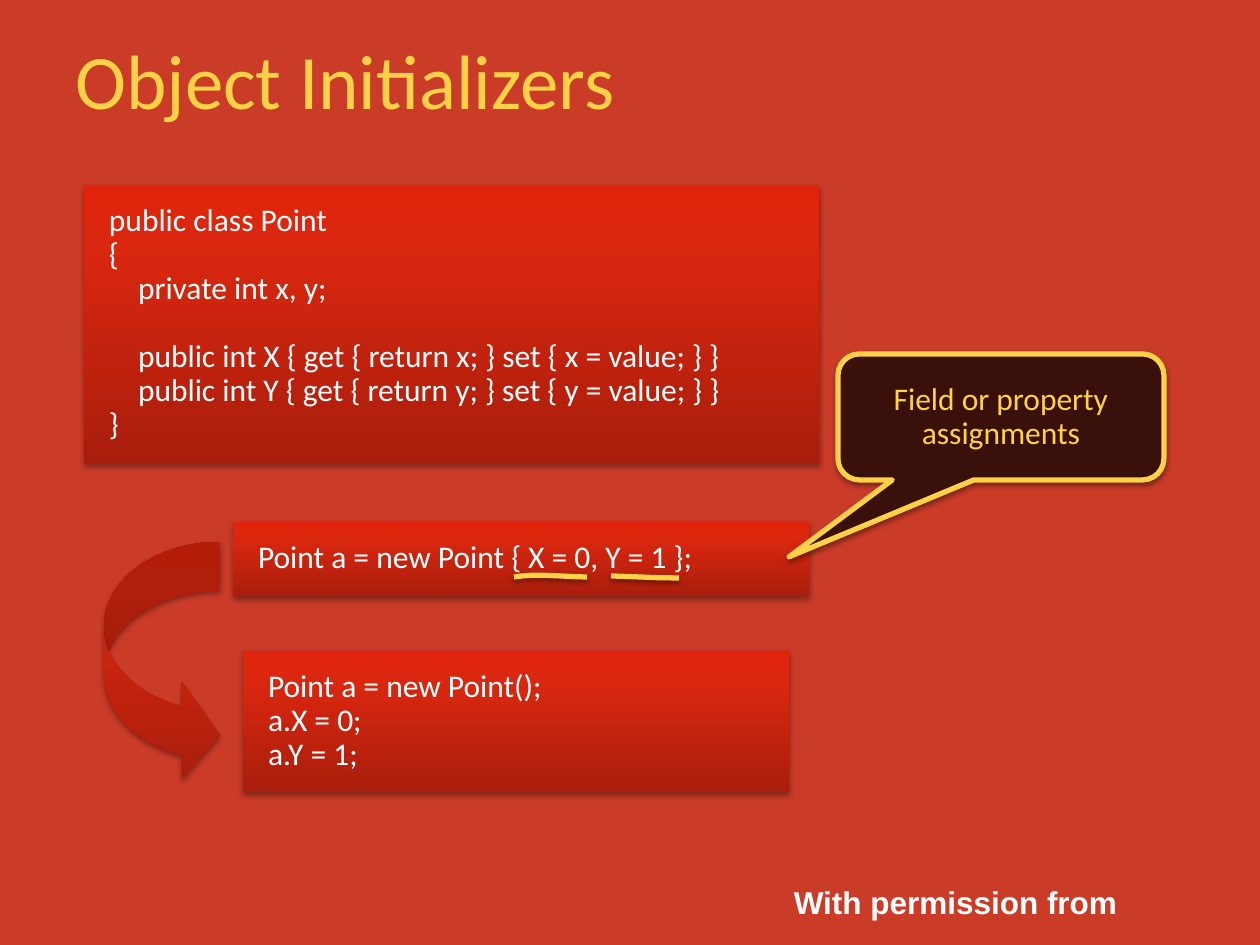
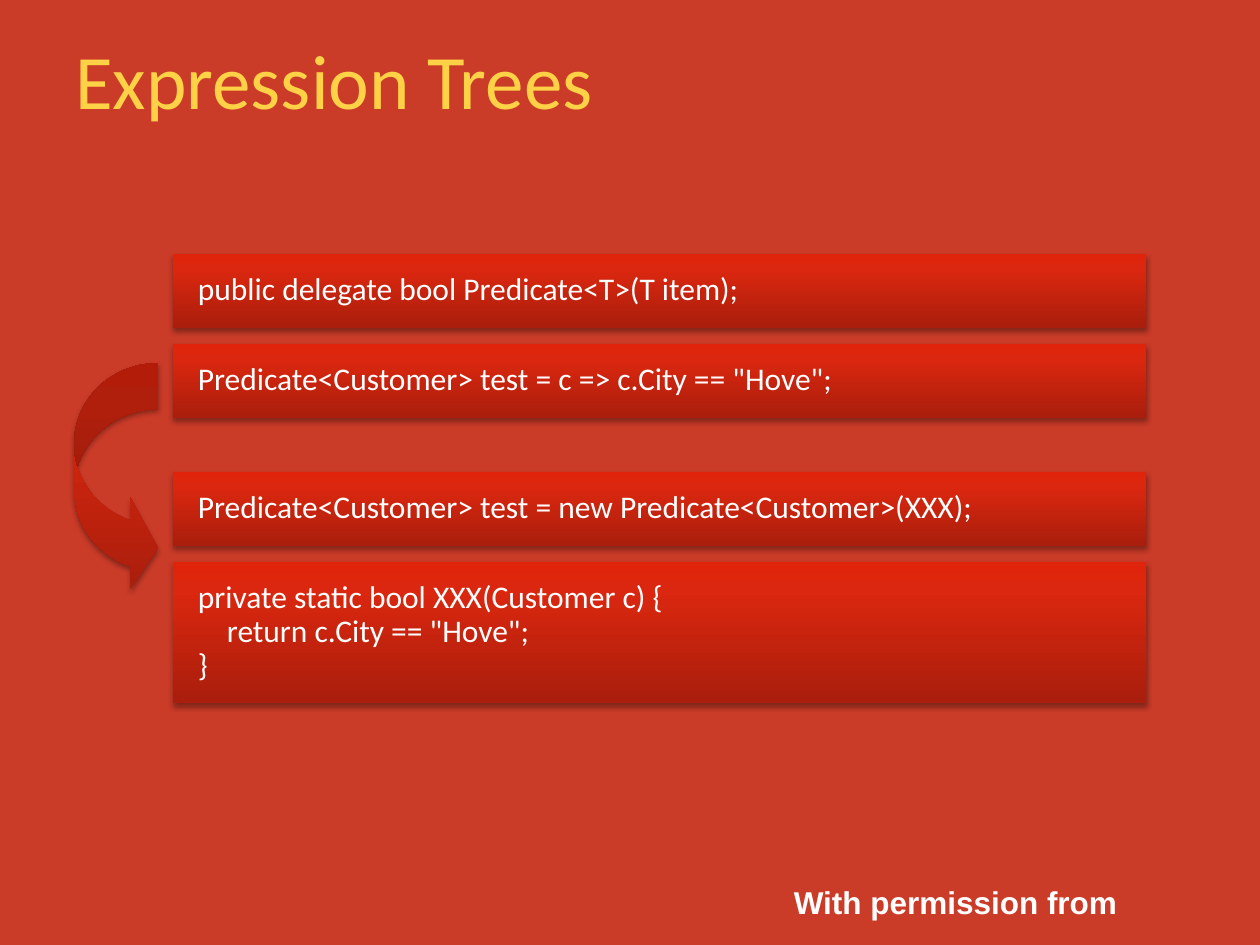
from dataclasses import dataclass
from typing import Any

from lxml.etree import SubElement
from pptx import Presentation
from pptx.dml.color import RGBColor
from pptx.enum.shapes import MSO_SHAPE
from pptx.enum.text import MSO_ANCHOR, PP_ALIGN
from pptx.oxml.ns import qn
from pptx.util import Pt

PX = 914400 / 126
BACKGROUND = "CA3B28"
GOLD = "FFD147"
WHITE = "FFFFFF"
MAROON = "3A100B"
GRADIENT = ((0, "A91E0C"), (80, "DB270F"), (100, "E0240B"))
LINE_SPACING = 0.9
BLANK_LINE = Pt(19.5)
CODE_INDENT = 29
BEZIER_STEPS = 8
ROW_HEIGHT = 74
ROW_STEP = 90


@dataclass(frozen=True)
class Area:
    left: int
    top: int
    width: int
    height: int

    def emu(self) -> tuple[int, ...]:
        return tuple(px(value) for value in (self.left, self.top, self.width, self.height))


@dataclass(frozen=True)
class Line:
    text: str
    level: int = 0
    after_blank: bool = False


@dataclass(frozen=True)
class CodeBox:
    area: Area
    lines: tuple[Line, ...]


@dataclass(frozen=True)
class CurvedArrow:
    area: Area
    adjustments: tuple[float, ...]


@dataclass(frozen=True)
class TextStyle:
    size: int
    color: str
    font: str = "Calibri"
    bold: bool = False


TITLE_STYLE = TextStyle(44, GOLD)
CODE_STYLE = TextStyle(18, WHITE)
CALLOUT_STYLE = TextStyle(18, GOLD)
FOOTER_STYLE = TextStyle(18, WHITE, "Arial", True)


def px(value: float) -> int:
    return round(value * PX)


def rgb(value: str) -> RGBColor:
    return RGBColor.from_string(value)


def set_formats(target: Any, formats: dict[str, Any]) -> None:
    for name, value in formats.items():
        setattr(target, name, value)


def write(para: Any, text: str, style: TextStyle, **formats: Any) -> None:
    set_formats(para, formats)
    span = para.add_run()
    span.text = text
    set_formats(span.font, {"name": style.font, "size": Pt(style.size), "bold": style.bold})
    span.font.color.rgb = rgb(style.color)


def add_shadow(shape: Any, opacity: int, distance: float) -> None:
    shape.shadow.inherit = False
    effects = shape._element.spPr.find(qn("a:effectLst"))
    shadow = SubElement(effects, qn("a:outerShdw"), {
        "blurRad": str(Pt(3.1)), "dist": str(Pt(distance)),
        "dir": "5400000", "rotWithShape": "0",
    })
    color = SubElement(shadow, qn("a:srgbClr"), val="000000")
    SubElement(color, qn("a:alpha"), val=str(opacity * 1000))


def style_red(shape: Any) -> None:
    shape.fill.gradient()
    shape.fill.gradient_angle = 90
    stops = shape._element.spPr.find(qn("a:gradFill")).find(qn("a:gsLst"))
    stops.clear()
    for position, color in GRADIENT:
        stop = SubElement(stops, qn("a:gs"), pos=str(position * 1000))
        SubElement(stop, qn("a:srgbClr"), val=color)
    shape.line.fill.background()
    add_shadow(shape, 35, 1.8)


def style_outlined(shape: Any) -> None:
    shape.fill.solid()
    shape.fill.fore_color.rgb = rgb(MAROON)
    shape.line.color.rgb = rgb(GOLD)
    shape.line.width = Pt(3)
    add_shadow(shape, 38, 1.6)


def add_text(page: Any, area: Area, text: str, style: TextStyle,
             anchor: MSO_ANCHOR, **formats: Any) -> None:
    frame = page.shapes.add_textbox(*area.emu()).text_frame
    set_formats(frame, {"word_wrap": True, "vertical_anchor": anchor})
    write(frame.paragraphs[0], text, style, **formats)


def add_page(deck: Any, title: str) -> Any:
    page = deck.slides.add_slide(deck.slide_layouts[6])
    add_text(page, Area(777, 871, 357, 53), "With permission from", FOOTER_STYLE,
             MSO_ANCHOR.TOP, alignment=PP_ALIGN.CENTER,
             line_spacing=Pt(25), space_after=Pt(10))
    add_text(page, Area(63, 0, 977, 158), title, TITLE_STYLE, MSO_ANCHOR.MIDDLE)
    return page


def add_code(page: Any, code: CodeBox) -> None:
    box = page.shapes.add_shape(MSO_SHAPE.RECTANGLE, *code.area.emu())
    style_red(box)
    frame = box.text_frame
    set_formats(frame, {
        "word_wrap": True, "vertical_anchor": MSO_ANCHOR.TOP,
        "margin_left": px(25), "margin_right": px(25),
        "margin_top": px(19), "margin_bottom": px(19),
    })
    for index, line in enumerate(code.lines):
        para = frame.add_paragraph() if index else frame.paragraphs[0]
        write(para, line.text, CODE_STYLE, alignment=PP_ALIGN.LEFT,
              line_spacing=LINE_SPACING,
              space_before=BLANK_LINE if line.after_blank else Pt(0))
        para._p.get_or_add_pPr().set("marL", str(px(line.level * CODE_INDENT)))


def add_arrow(page: Any, arrow: CurvedArrow) -> None:
    shape = page.shapes.add_shape(MSO_SHAPE.CURVED_RIGHT_ARROW, *arrow.area.emu())
    for index, value in enumerate(arrow.adjustments):
        shape.adjustments[index] = value
    style_red(shape)


def add_underline(page: Any, controls: tuple[tuple[int, int], ...]) -> None:
    points = []
    for step in range(BEZIER_STEPS + 1):
        t = step / BEZIER_STEPS
        weights = ((1 - t) ** 3, 3 * t * (1 - t) ** 2, 3 * t ** 2 * (1 - t), t ** 3)
        points.append(tuple(sum(weight * value for weight, value in zip(weights, axis))
                            for axis in zip(*controls)))
    builder = page.shapes.build_freeform(px(points[0][0]), px(points[0][1]))
    builder.add_line_segments([(px(x), px(y)) for x, y in points[1:]], close=False)
    style_outlined(builder.convert_to_shape())


def add_callout(page: Any, area: Area, text: str) -> None:
    callout = page.shapes.add_shape(MSO_SHAPE.ROUNDED_RECTANGULAR_CALLOUT, *area.emu())
    for index, value in enumerate((-0.65, 1.11, 0.17)):
        callout.adjustments[index] = value
    style_outlined(callout)
    set_formats(callout.text_frame, {"word_wrap": True, "vertical_anchor": MSO_ANCHOR.MIDDLE})
    write(callout.text_frame.paragraphs[0], text, CALLOUT_STYLE,
          alignment=PP_ALIGN.CENTER, line_spacing=LINE_SPACING)


def build_object_initializers(deck: Any) -> None:
    page = add_page(deck, "Object Initializers")
    for code in (
        CodeBox(Area(84, 185, 735, 278), (
            Line("public class Point"),
            Line("{"),
            Line("private int x, y;", 1),
            Line("public int X { get { return x; } set { x = value; } }", 1, True),
            Line("public int Y { get { return y; } set { y = value; } }", 1),
            Line("}"),
        )),
        CodeBox(Area(233, 522, 576, ROW_HEIGHT), (
            Line("Point a = new Point { X = 0, Y = 1 };"),
        )),
        CodeBox(Area(243, 651, 546, 141), (
            Line("Point a = new Point();"),
            Line("a.X = 0;"),
            Line("a.Y = 1;"),
        )),
    ):
        add_code(page, code)
    add_arrow(page, CurvedArrow(Area(104, 542, 116, 242), (0.42, 0.84, 0.33)))
    add_underline(page, ((514, 577), (538, 573), (563, 577), (587, 577)))
    add_underline(page, ((611, 576), (671, 578), (649, 578), (679, 578)))
    add_callout(page, Area(838, 354, 326, 126), "Field or property assignments")


def build_expression_trees(deck: Any) -> None:
    page = add_page(deck, "Expression Trees")
    declaration_top, expansion_top = 254, 472
    for top, height, lines in (
        (declaration_top, ROW_HEIGHT, (
            Line("public delegate bool Predicate<T>(T item);"),
        )),
        (declaration_top + ROW_STEP, ROW_HEIGHT, (
            Line('Predicate<Customer> test = c => c.City == "Hove";'),
        )),
        (expansion_top, ROW_HEIGHT, (
            Line("Predicate<Customer> test = new Predicate<Customer>(XXX);"),
        )),
        (expansion_top + ROW_STEP, 141, (
            Line("private static bool XXX(Customer c) {"),
            Line('return c.City == "Hove";', 1),
            Line("}"),
        )),
    ):
        add_code(page, CodeBox(Area(173, top, 973, height), lines))
    add_arrow(page, CurvedArrow(Area(74, 363, 84, 231), (0.55, 1.1, 0.33)))


def main() -> None:
    deck = Presentation()
    set_formats(deck, {"slide_width": px(1260), "slide_height": px(945)})
    backdrop = deck.slide_master.background.fill
    backdrop.solid()
    backdrop.fore_color.rgb = rgb(BACKGROUND)
    build_object_initializers(deck)
    build_expression_trees(deck)
    deck.save("out.pptx")


if __name__ == "__main__":
    main()
